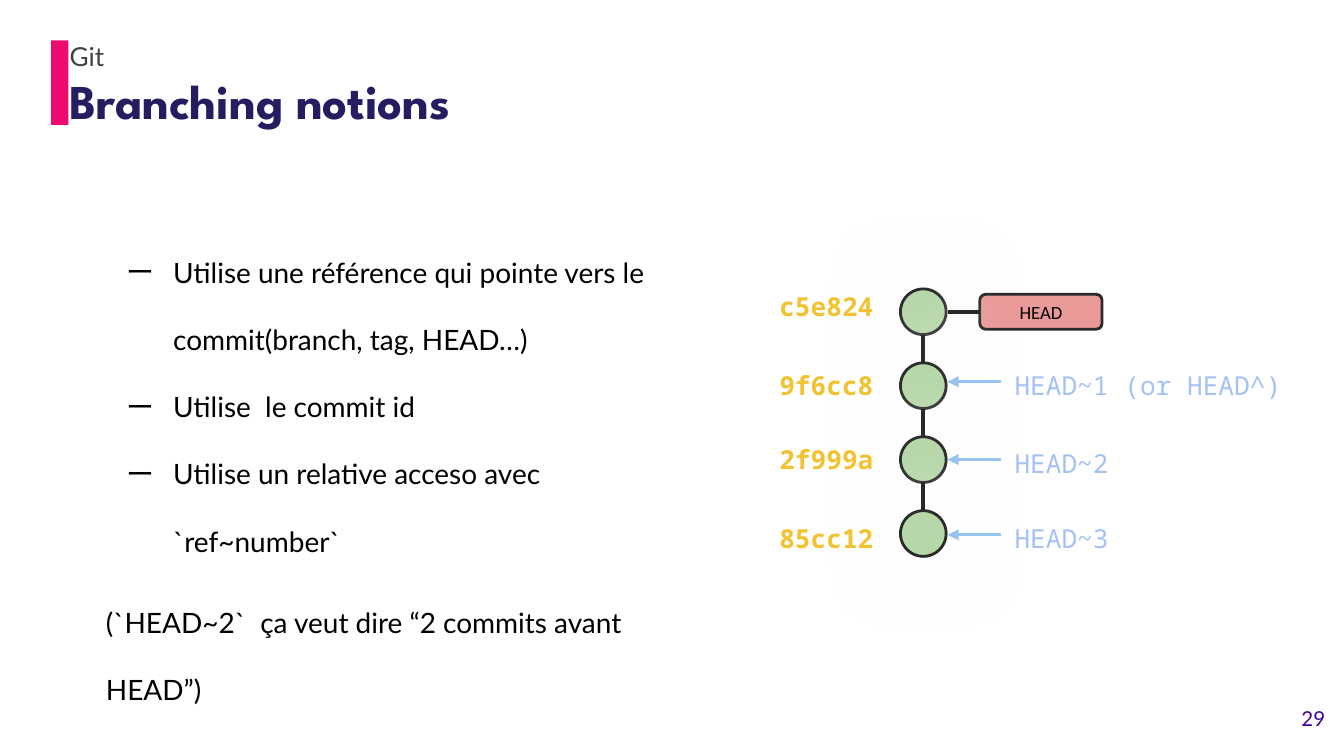
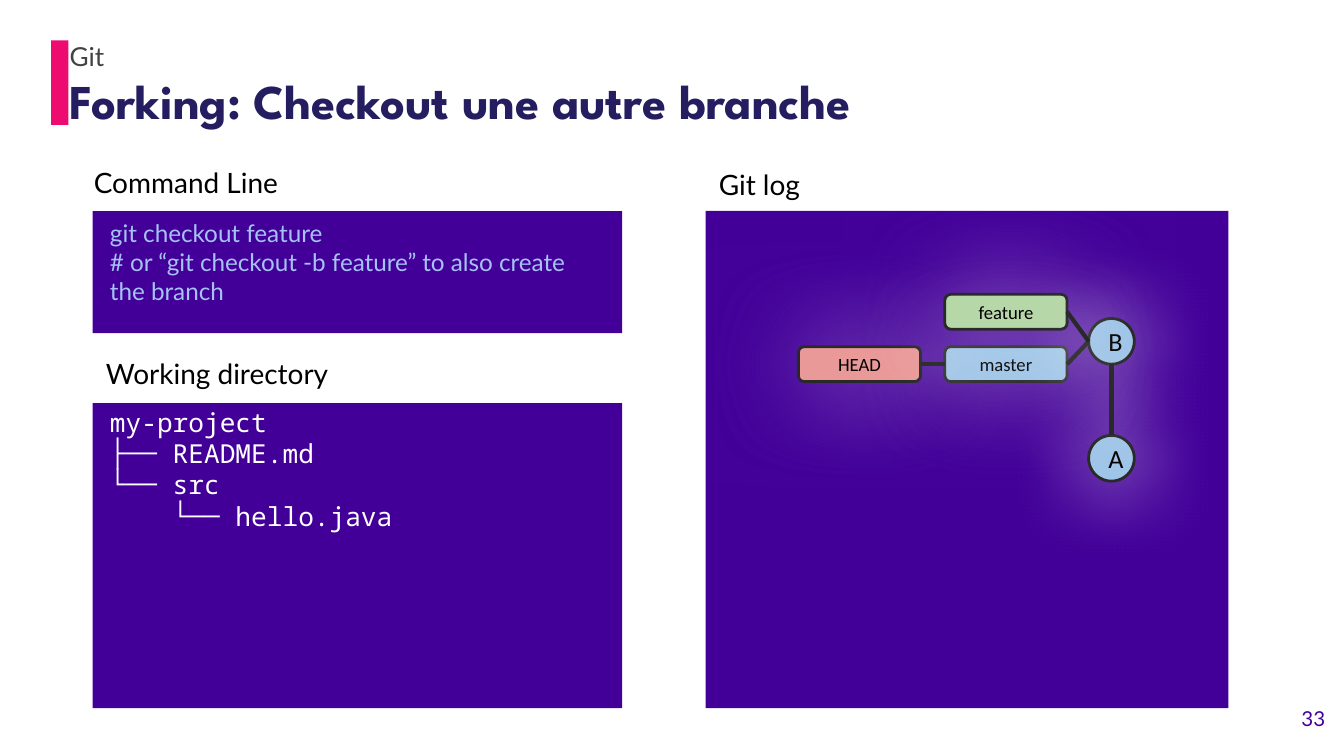
from dataclasses import dataclass

from lxml import etree
from pptx import Presentation, util as u
from pptx.dml.color import RGBColor
from pptx.enum import shapes, text
from pptx.oxml.ns import qn


@dataclass(frozen=True)
class Theme:
    pink: str = "EE0B6F"
    navy: str = "241D60"
    purple: str = "430099"
    gray: str = "434343"
    black: str = "000000"
    white: str = "FFFFFF"
    outline: str = "292929"
    green: str = "B6D7A8"
    red: str = "EA9999"
    blue: str = "9FC5E8"
    arrow: str = "97C4EE"
    pale_blue: str = "A4C2F4"
    gold: str = "F1C232"
    heading_font: str = "League Spartan"
    body_font: str = "Lato"
    label_font: str = "Calibri"
    code_font: str = "Noto Sans Mono"
    title_size: float = 26
    body_size: float = 15
    code_size: float = 14
    command_size: float = 13
    page_size: float = 11
    tag_size: float = 10


THEME = Theme()
NODE = 0.34
TAG_WIDTH, TAG_HEIGHT = 0.91, 0.26


def box(*lengths):
    return [u.Inches(length) for length in lengths]


def write(frame, content, font=THEME.body_font, size=THEME.body_size,
          color=THEME.black, bold=False, align=text.PP_ALIGN.LEFT,
          anchor=text.MSO_ANCHOR.TOP, spacing=None, before=0, bullet=None):
    """Add one paragraph; the first call on a frame fills its first one."""
    frame.word_wrap = True
    frame.vertical_anchor = anchor
    frame.margin_left = frame.margin_right = u.Inches(0.1)
    frame.margin_top = frame.margin_bottom = u.Inches(0.1)
    paragraph = frame.paragraphs[0]
    if paragraph.runs:
        paragraph = frame.add_paragraph()
    paragraph.text = content
    if bullet:
        add_bullet(paragraph, bullet, font, color)
    paragraph.alignment = align
    if spacing:
        paragraph.line_spacing = spacing
    if before:
        paragraph.space_before = u.Pt(before)
    for run in paragraph.runs:
        run.font.name = font
        run.font.size = u.Pt(size)
        run.font.bold = bold
        run.font.color.rgb = RGBColor.from_string(color)


def add_bullet(paragraph, mark, font, color):
    properties = paragraph._p.get_or_add_pPr()
    properties.set("marL", str(u.Inches(0.5)))
    properties.set("indent", str(u.Inches(-0.35)))
    bullet_color = etree.SubElement(properties, qn("a:buClr"))
    etree.SubElement(bullet_color, qn("a:srgbClr"), val=color)
    etree.SubElement(properties, qn("a:buFont"), typeface=font)
    etree.SubElement(properties, qn("a:buChar"), char=mark)


def set_glow(element, blur, distance=0.8, opacity=100):
    """Give a shape or connector a white soft shadow, or none without blur."""
    properties = element._element.spPr
    effects = properties.find(qn("a:effectLst"))
    if effects is None:
        effects = etree.SubElement(properties, qn("a:effectLst"))
    if blur:
        shadow = etree.SubElement(
            effects, qn("a:outerShdw"), blurRad=str(u.Pt(blur)),
            dist=str(u.Pt(distance)), dir="0", algn="bl", rotWithShape="0")
        tint = etree.SubElement(shadow, qn("a:srgbClr"), val=THEME.white)
        etree.SubElement(tint, qn("a:alpha"), val=str(opacity * 1000))


class Deck:
    def __init__(self, theme):
        self.theme = theme
        self.presentation = Presentation()
        width = u.Inches(10)
        self.presentation.slide_width = width
        self.presentation.slide_height = width * 9 // 16
        self.slide = None

    def start_slide(self, title, page):
        t = self.theme
        layout = self.presentation.slide_layouts[6]
        self.slide = self.presentation.slides.add_slide(layout)
        self.shape(shapes.MSO_SHAPE.RECTANGLE, 0.38, 0.3, 0.13, 0.63, t.pink)
        self.text(title, 0.42, 0.43, 9.32, 0.63, font=t.heading_font,
                  size=t.title_size, color=t.navy, bold=True)
        self.text("Git", 0.42, 0.29, 9.32, 0.26, size=t.code_size,
                  color=t.gray, anchor=text.MSO_ANCHOR.MIDDLE)
        self.text(page, 9.36, 5.16, 0.6, 0.43, size=t.page_size,
                  color=t.purple, align=text.PP_ALIGN.RIGHT)

    def text(self, content, left, top, width, height, **style):
        area = self.slide.shapes.add_textbox(*box(left, top, width, height))
        write(area.text_frame, content, **style)
        return area.text_frame

    def code(self, content, left, top, width, height=0.38, **style):
        self.text(content, left, top, width, height,
                  font=self.theme.code_font, size=self.theme.code_size, **style)

    def shape(self, kind, left, top, width, height, fill, outlined=False):
        shape = self.slide.shapes.add_shape(kind, *box(left, top, width, height))
        shape.shadow.inherit = False
        shape.fill.solid()
        shape.fill.fore_color.rgb = RGBColor.from_string(fill)
        if outlined:
            shape.line.color.rgb = RGBColor.from_string(self.theme.outline)
            shape.line.width = u.Pt(1.5)
        else:
            shape.line.fill.background()
        return shape

    def panel(self, left, top, width, height):
        self.shape(shapes.MSO_SHAPE.RECTANGLE, left, top, width, height,
                   self.theme.purple)

    def node(self, left, top, fill, label=None):
        circle = self.shape(shapes.MSO_SHAPE.OVAL, left, top, NODE, NODE,
                            fill, outlined=True)
        set_glow(circle, 46.1)
        if label:
            write(circle.text_frame, label, font=self.theme.label_font,
                  size=self.theme.code_size, anchor=text.MSO_ANCHOR.MIDDLE)

    def tag(self, label, left, top, fill):
        tag = self.shape(shapes.MSO_SHAPE.ROUNDED_RECTANGLE, left, top,
                         TAG_WIDTH, TAG_HEIGHT, fill, outlined=True)
        set_glow(tag, 56.2, distance=1.5, opacity=50)
        write(tag.text_frame, label, font=self.theme.label_font,
              size=self.theme.tag_size, align=text.PP_ALIGN.CENTER,
              anchor=text.MSO_ANCHOR.MIDDLE)

    def line(self, x1, y1, x2, y2, color, width, glow=0, arrow=False):
        line = self.slide.shapes.add_connector(
            shapes.MSO_CONNECTOR.STRAIGHT, *box(x1, y1, x2, y2))
        line.line.color.rgb = RGBColor.from_string(color)
        line.line.width = u.Pt(width)
        if arrow:
            etree.SubElement(line.line._ln, qn("a:tailEnd"), type="triangle")
        set_glow(line, glow)

    def edge(self, x1, y1, x2, y2, glow=30.4):
        self.line(x1, y1, x2, y2, self.theme.outline, 2.25, glow)

    def arrow(self, x1, x2, y):
        self.line(x1, y, x2, y, self.theme.arrow, 1.5, arrow=True)


def build_branching(deck):
    t = deck.theme
    deck.start_slide("Branching notions", "29")

    uses = [
        "Utilise une référence qui pointe vers le commit(branch, tag, HEAD…)",
        "Utilise  le commit id",
        "Utilise un relative acceso avec `ref~number`",
    ]
    notions = deck.text(uses[0], 0.69, 1.55, 4.68, 4, spacing=2, bullet="ー")
    for use in uses[1:]:
        write(notions, use, spacing=2, bullet="ー")
    write(notions, "(`HEAD~2`  ça veut dire “2 commits avant HEAD”)",
          spacing=2, before=7.5)

    history_left, history_top, step = 6.7, 2.15, 0.55
    center = history_left + NODE / 2
    commit_tops = [history_top + step * i for i in range(4)]
    for top in commit_tops:
        deck.node(history_left, top, t.green)
    for top in commit_tops[1:]:
        deck.edge(center, top - step + NODE, center, top)

    deck.tag("HEAD", 7.29, 2.19, t.red)
    deck.edge(7.05, 2.32, 7.29, 2.32, glow=14.6)

    for commit_id, top in [("c5e824", 2.06), ("9f6cc8", 2.65),
                           ("2f999a", 3.2), ("85cc12", 3.79)]:
        deck.code(commit_id, 5.7, top, 1.01, color=t.gold, bold=True)
    for ref, top, width in [("HEAD~1 (or HEAD^)", 2.65, 2.28),
                            ("HEAD~2", 3.23, 1.01), ("HEAD~3", 3.79, 1.01)]:
        deck.code(ref, 7.45, top, width, color=t.pale_blue)
        deck.arrow(7.45, 7.05, top + 0.19)


def build_forking(deck):
    t = deck.theme
    deck.start_slide("Forking: Checkout une autre branche", "33")

    deck.panel(0.69, 1.57, 3.94, 0.91)
    deck.panel(0.69, 3, 3.94, 2.27)
    deck.panel(5.25, 1.57, 3.89, 3.7)
    for heading, left, top in [("Command Line", 0.6, 1.13),
                               ("Working directory", 0.69, 2.55),
                               ("Git log", 5.25, 1.15)]:
        deck.text(heading, left, top, 2.27, 0.33)

    command_style = dict(size=t.command_size, color=t.pale_blue)
    commands = deck.text("git checkout feature", 0.72, 1.52, 3.8, 0.91,
                         **command_style)
    write(commands, "# or “git checkout -b feature” to also create the branch",
          **command_style)

    tree = ["my-project", "├── README.md", "└── src", "    └── hello.java"]
    deck.code("\n".join(tree), 0.72, 2.92, 3.94, 2.51, color=t.white)

    head_left, branch_left, commit_left = 5.94, 7.03, 8.1
    feature_top, master_top = 2.19, 2.58
    b_top, a_top = 2.37, 3.24
    center = commit_left + NODE / 2
    b_middle = b_top + NODE / 2
    feature_middle = feature_top + TAG_HEIGHT / 2
    master_middle = master_top + TAG_HEIGHT / 2
    branch_right = branch_left + TAG_WIDTH

    deck.tag("master", branch_left, master_top, t.blue)
    deck.tag("HEAD", head_left, master_top, t.red)
    deck.node(commit_left, a_top, t.blue, "A")
    deck.node(commit_left, b_top, t.blue, "B")
    deck.edge(center, a_top, center, b_top + NODE)
    deck.edge(branch_right, master_middle, commit_left, b_middle)
    deck.edge(head_left + TAG_WIDTH, master_middle, branch_left, master_middle)
    deck.tag("feature", branch_left, feature_top, t.green)
    deck.edge(branch_right, feature_middle, commit_left, b_middle)


def main():
    deck = Deck(THEME)
    build_branching(deck)
    build_forking(deck)
    deck.presentation.save("out.pptx")


if __name__ == "__main__":
    main()
